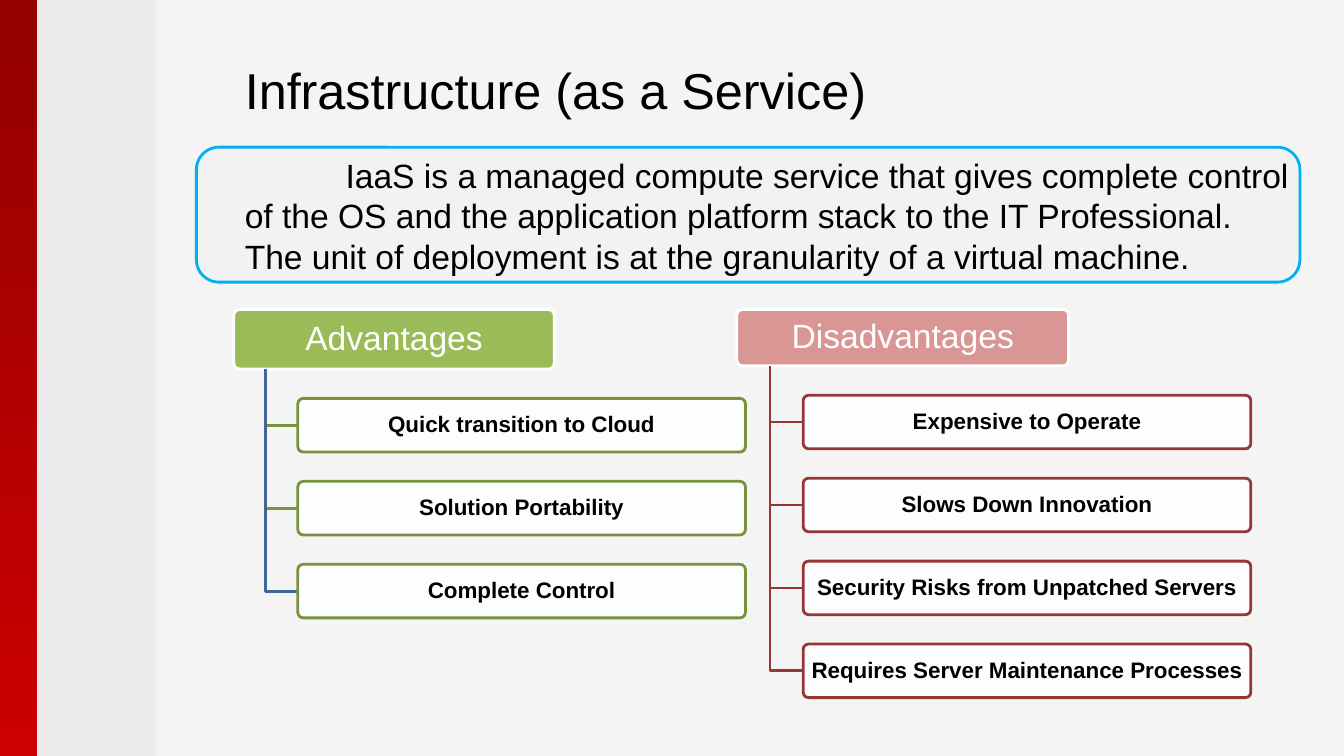
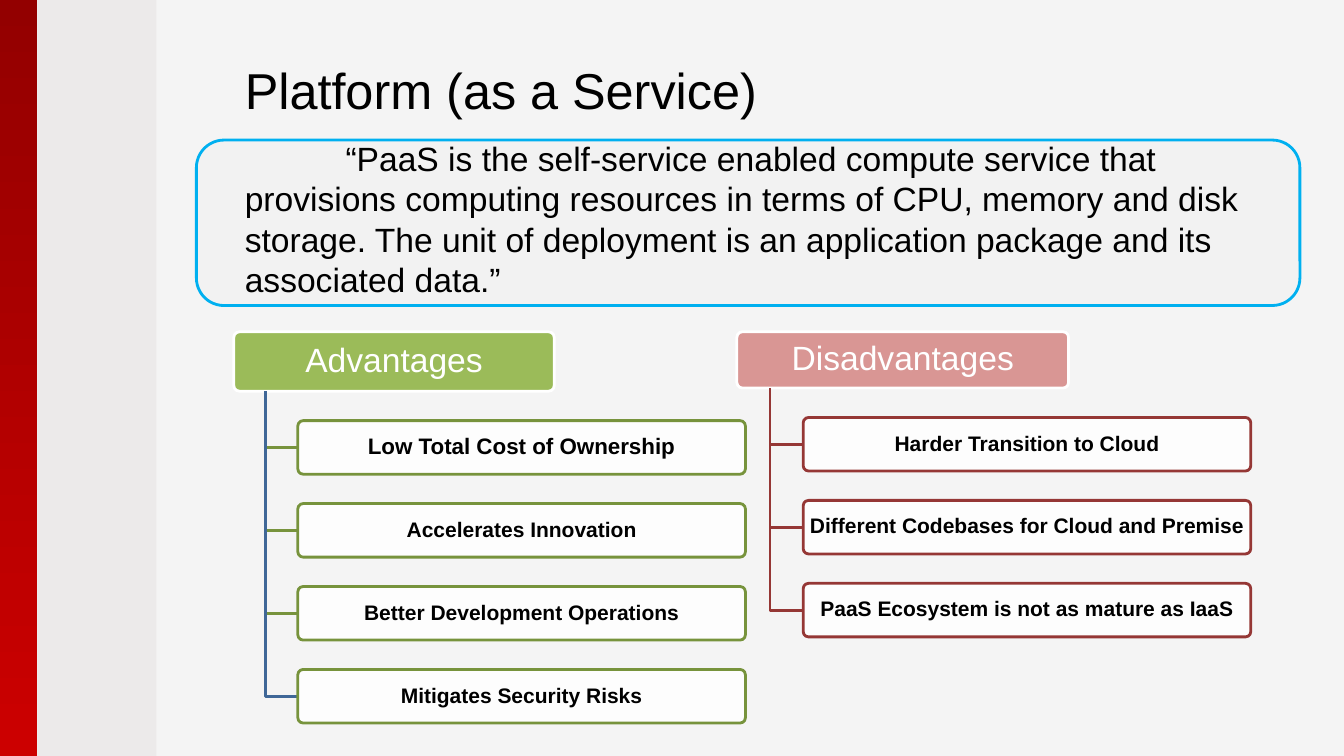
from lxml.etree import SubElement
from pptx import Presentation
from pptx.dml.color import RGBColor
from pptx.enum.shapes import MSO_SHAPE as SHAPE
from pptx.enum.text import MSO_ANCHOR as ANCHOR, PP_ALIGN as ALIGN
from pptx.oxml.ns import qn
from pptx.util import Cm, Pt

FONT = "Arial"
COLORS = {
    "background": "F4F4F4", "side": "ECEAEA", "red_top": "930000", "red_bottom": "CC0000",
    "panel": "F2F2F2", "panel_line": "00B0F0", "white": "FFFFFF", "black": "000000",
    "green": "9BBB59", "green_line": "77933C", "blue_line": "3F6797",
    "rose": "D99694", "rose_line": "953735",
}

SLIDES = [
    {
        "title": "Infrastructure (as a Service)",
        "summary": "IaaS is a managed compute service that gives complete control of the OS "
                   "and the application platform stack to the IT Professional. The unit of "
                   "deployment is at the granularity of a virtual machine.",
        "panel": (3.71, 3.4), "summary_box": (3.78, 3.33), "trees_top": 7.8,
        "Advantages": [("Quick transition to Cloud", 16), ("Solution Portability", 16),
                       ("Complete Control", 16)],
        "Disadvantages": [("Expensive to Operate", 16), ("Slows Down Innovation", 16),
                          ("Security Risks from Unpatched Servers", 16),
                          ("Requires Server Maintenance Processes", 16)],
    },
    {
        "title": "Platform (as a Service)",
        "summary": "“PaaS is the self-service enabled compute service that provisions computing "
                   "resources in terms of CPU, memory and disk storage. The unit of deployment "
                   "is an application package and its associated data.”",
        "panel": (3.53, 4.17), "summary_box": (3.35, 4.37), "trees_top": 8.36,
        "Advantages": [("Low Total Cost of Ownership", 16), ("Accelerates Innovation", 15),
                       ("Better Development Operations", 15), ("Mitigates Security Risks", 15)],
        "Disadvantages": [("Harder Transition to Cloud", 15),
                          ("Different Codebases for Cloud and Premise", 15),
                          ("PaaS Ecosystem is not as mature as IaaS", 15)],
    },
]

TREES = [
    {"name": "Advantages", "left": 5.89, "width": 8.08, "height": 1.5,
     "fill": "green", "line": "green_line", "last_line": "blue_line"},
    {"name": "Disadvantages", "left": 18.57, "width": 8.36, "height": 1.42,
     "fill": "rose", "line": "rose_line", "last_line": "rose_line"},
]

WIDTH, HEIGHT = 33.87, 19.05
RED_W, SIDE_W = 0.94, 3
TEXT_LEFT = 5.92
ITEM_W, ITEM_H, ITEM_GAP, ITEM_PITCH = 11.28, 1.35, 0.74, 2.09


def rgb(name):
    return RGBColor.from_string(COLORS[name])


def set_line(sp, color):
    sp.line.color.rgb = rgb(color)
    sp.line.width = Pt(2)


def add_box(s, kind, box, fill, line=None):
    sp = s.shapes.add_shape(kind, *map(Cm, box))
    sp.shadow.inherit = False
    sp.fill.solid()
    sp.fill.fore_color.rgb = rgb(fill)
    if line:
        set_line(sp, line)
    else:
        sp.line.fill.background()
    return sp


def write(sp, text, size, color="black", bold=False, align=ALIGN.LEFT, spacing=0.9):
    tf = sp.text_frame
    tf.word_wrap = True
    tf.text = text
    p = tf.paragraphs[0]
    p.alignment = align
    p.line_spacing = spacing
    font = p.runs[0].font
    font.name, font.size, font.bold = FONT, Pt(size), bold
    font.color.rgb = rgb(color)
    return tf


def add_label(s, box, text, size, fill, line, color, bold=False):
    sp = add_box(s, SHAPE.ROUNDED_RECTANGLE, box, fill, line)
    sp.adjustments[0] = 0.1
    tf = write(sp, text, size, color, bold, ALIGN.CENTER)
    tf.vertical_anchor = ANCHOR.MIDDLE
    tf.margin_left = tf.margin_right = tf.margin_top = tf.margin_bottom = 0
    return sp


def add_frame(s, title):
    s.background.fill.solid()
    s.background.fill.fore_color.rgb = rgb("background")
    add_box(s, SHAPE.RECTANGLE, (RED_W, 0, SIDE_W, HEIGHT), "side")
    band = add_box(s, SHAPE.RECTANGLE, (0, 0, RED_W, HEIGHT), "red_top")
    band.fill.gradient()
    band.fill.gradient_angle = 270
    for stop, color, position in zip(band.fill.gradient_stops, ("red_top", "red_bottom"), (0, 1)):
        stop.color.rgb = rgb(color)
        stop.position = position
    sp = s.shapes.add_textbox(Cm(TEXT_LEFT), Cm(0.76), Cm(23.6), Cm(3.18))
    write(sp, title, 36).vertical_anchor = ANCHOR.MIDDLE


def add_elbow(s, x, y, corner_y, end_x, color):
    builder = s.shapes.build_freeform(Cm(x), Cm(y))
    builder.add_line_segments([(Cm(x), Cm(corner_y)), (Cm(end_x), Cm(corner_y))], close=False)
    sp = builder.convert_to_shape()
    sp.shadow.inherit = False
    sp.fill.background()
    set_line(sp, color)


def add_tree(s, tree, top, items):
    left, width = tree["left"], tree["width"]
    bottom = top + tree["height"]
    trunk_x, item_x = left + width * 0.1, left + width * 0.2
    add_label(s, (left, top, width, tree["height"]), tree["name"], 24,
              tree["fill"], "white", "white")
    for i, (text, size) in enumerate(items):
        y = bottom + ITEM_GAP + i * ITEM_PITCH
        color = tree["last_line"] if i == len(items) - 1 else tree["line"]
        add_elbow(s, trunk_x, bottom, y + ITEM_H / 2, item_x, color)
        sp = add_label(s, (item_x, y, ITEM_W, ITEM_H), text, size,
                       "white", tree["line"], "black", True)
        fill_color = sp.fill._xPr.find(qn("a:solidFill"))[0]
        SubElement(fill_color, qn("a:alpha"), val="90000")


def add_summary(s, text, panel, summary_box):
    top, height = panel
    add_box(s, SHAPE.ROUNDED_RECTANGLE, (4.95, top, 27.81, height), "panel", "panel_line")
    top, height = summary_box
    sp = s.shapes.add_textbox(Cm(TEXT_LEFT), Cm(top), Cm(27.03), Cm(height))
    tf = write(sp, text, 24, spacing=1.0)
    tf.paragraphs[0]._p.get_or_add_pPr().set("indent", str(Cm(2.54)))


def main():
    prs = Presentation()
    prs.slide_width, prs.slide_height = Cm(WIDTH), Cm(HEIGHT)
    for content in SLIDES:
        s = prs.slides.add_slide(prs.slide_layouts[6])
        add_frame(s, content["title"])
        for tree in TREES:
            add_tree(s, tree, content["trees_top"], content[tree["name"]])
        add_summary(s, content["summary"], content["panel"], content["summary_box"])
    prs.save("out.pptx")


if __name__ == "__main__":
    main()
